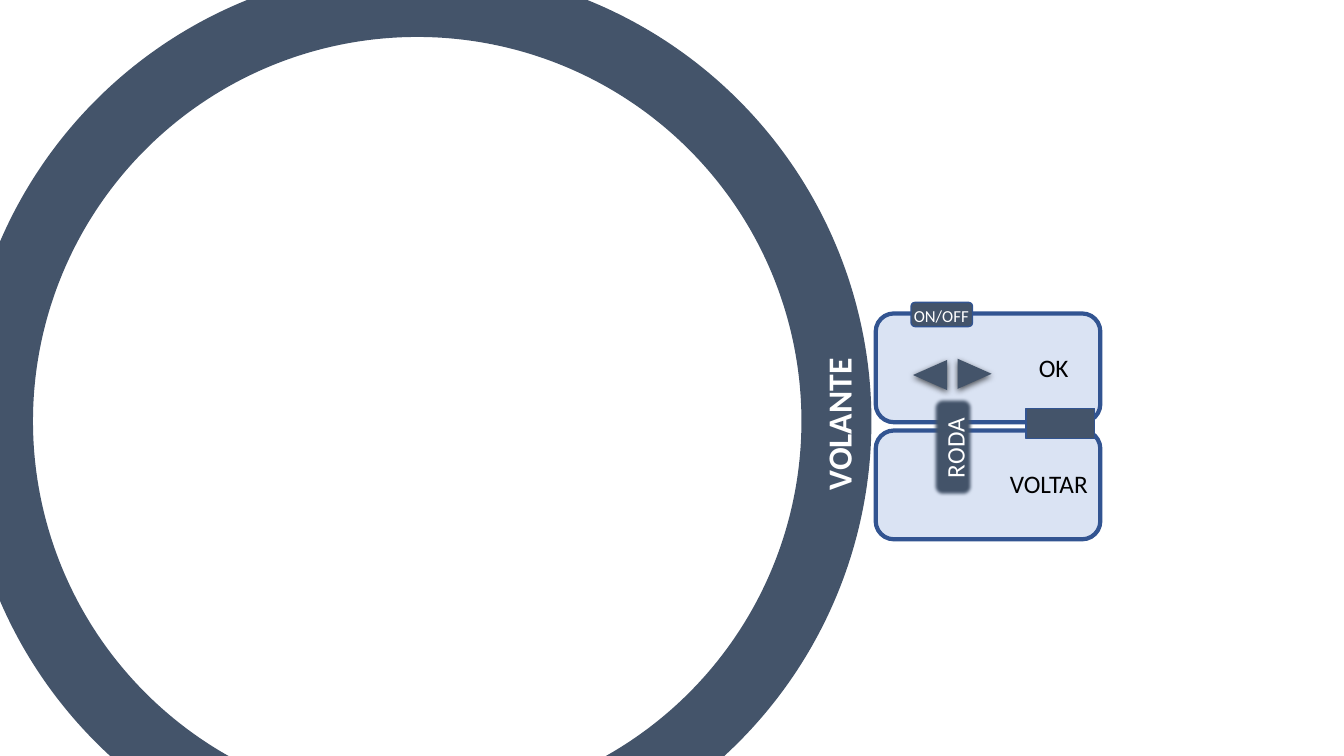
from lxml import etree
from pptx import Presentation
from pptx import util as u
from pptx.dml.color import RGBColor
from pptx.enum import shapes, text
from pptx.oxml import ns

SLATE, BLUE, PALE, WHITE, BLACK = "44546A", "325491", "DAE3F3", "FFFFFF", "000000"
SHAPE = shapes.MSO_SHAPE


def colour(hex_code):
    """Turn a hex string into a colour."""
    return RGBColor.from_string(hex_code)


def add_part(slide, kind, box, fill, line=None, width=1, rotation=0):
    """Add a filled shape, outlined when a line colour is given."""
    part = slide.shapes.add_shape(kind, *map(u.Cm, box))
    part.shadow.inherit = False
    part.rotation = rotation
    part.fill.solid()
    part.fill.fore_color.rgb = colour(fill)
    if line:
        part.line.color.rgb = colour(line)
        part.line.width = u.Pt(width)
    else:
        part.line.fill.background()
    return part


def add_effect(part, name, **attributes):
    """Add an effect to a shape and return its element."""
    effects = part._element.spPr.find(ns.qn("a:effectLst"))
    return etree.SubElement(effects, ns.qn(name), attributes)


def add_arrow(slide, left, top, rotation):
    """Add a triangular arrow key with a soft shadow below it."""
    arrow = add_part(slide, SHAPE.ISOSCELES_TRIANGLE, (left, top, 0.76, 0.86),
                     SLATE, rotation=rotation)
    shadow = add_effect(arrow, "a:outerShdw", blurRad=str(u.Pt(4.5)),
                        dist=str(u.Pt(1.5)), dir="5400000", algn="ctr", rotWithShape="0")
    tint = etree.SubElement(shadow, ns.qn("a:srgbClr"), val=BLACK)
    etree.SubElement(tint, ns.qn("a:alpha"), val="63000")


def add_label(slide, words, box, size=18, ink=BLACK, rotation=0, bold=False):
    """Add a single-line label."""
    label = slide.shapes.add_textbox(*map(u.Cm, box))
    label.rotation = rotation
    frame = label.text_frame
    frame.text = words
    frame.word_wrap = True
    frame.auto_size = text.MSO_AUTO_SIZE.SHAPE_TO_FIT_TEXT
    paragraph = frame.paragraphs[0]
    paragraph.line_spacing = 1.07
    paragraph.space_after = u.Pt(8)
    font = paragraph.runs[0].font
    font.name, font.size, font.bold = "Calibri", u.Pt(size), bold
    font.color.rgb = colour(ink)


def main():
    """Build the steering wheel control slide."""
    deck = Presentation()
    deck.slide_width, deck.slide_height = u.Cm(33.87), u.Cm(19.05)
    slide = deck.slides.add_slide(deck.slide_layouts[6])

    for panel_top in (10.85, 7.9):
        add_part(slide, SHAPE.ROUNDED_RECTANGLE, (22.07, panel_top, 5.66, 2.74),
                 PALE, BLUE, 3)
    add_part(slide, SHAPE.OVAL, (-0.05, 0.05, 21.13, 21.13), WHITE, SLATE, 50)
    scroll = add_part(slide, SHAPE.ROUNDED_RECTANGLE, (23.52, 10.03, 0.99, 2.46),
                      SLATE, SLATE)
    add_effect(scroll, "a:softEdge", rad=str(u.Pt(2.5)))
    add_label(slide, "OK", (25.93, 8.69, 1.83, 1.04))
    add_label(slide, "VOLTAR", (25.2, 11.63, 3.53, 1.04))
    add_part(slide, SHAPE.RECTANGLE, (25.86, 10.29, 1.73, 0.76), SLATE, BLUE)
    add_label(slide, "RODA", (22.91, 10.67, 2.21, 1.04), ink=WHITE, rotation=270)
    add_label(slide, "VOLANTE", (18.72, 9.6, 4.7, 1.3), 24, WHITE, 270, True)
    add_part(slide, SHAPE.ROUNDED_RECTANGLE, (22.96, 7.62, 1.55, 0.61), SLATE, BLUE)
    add_label(slide, "ON/OFF", (22.78, 7.54, 3.35, 0.79), 12, WHITE)
    add_arrow(slide, 23.06, 9.02, 270)
    add_arrow(slide, 24.18, 8.99, 90)

    deck.save("out.pptx")


if __name__ == "__main__":
    main()
